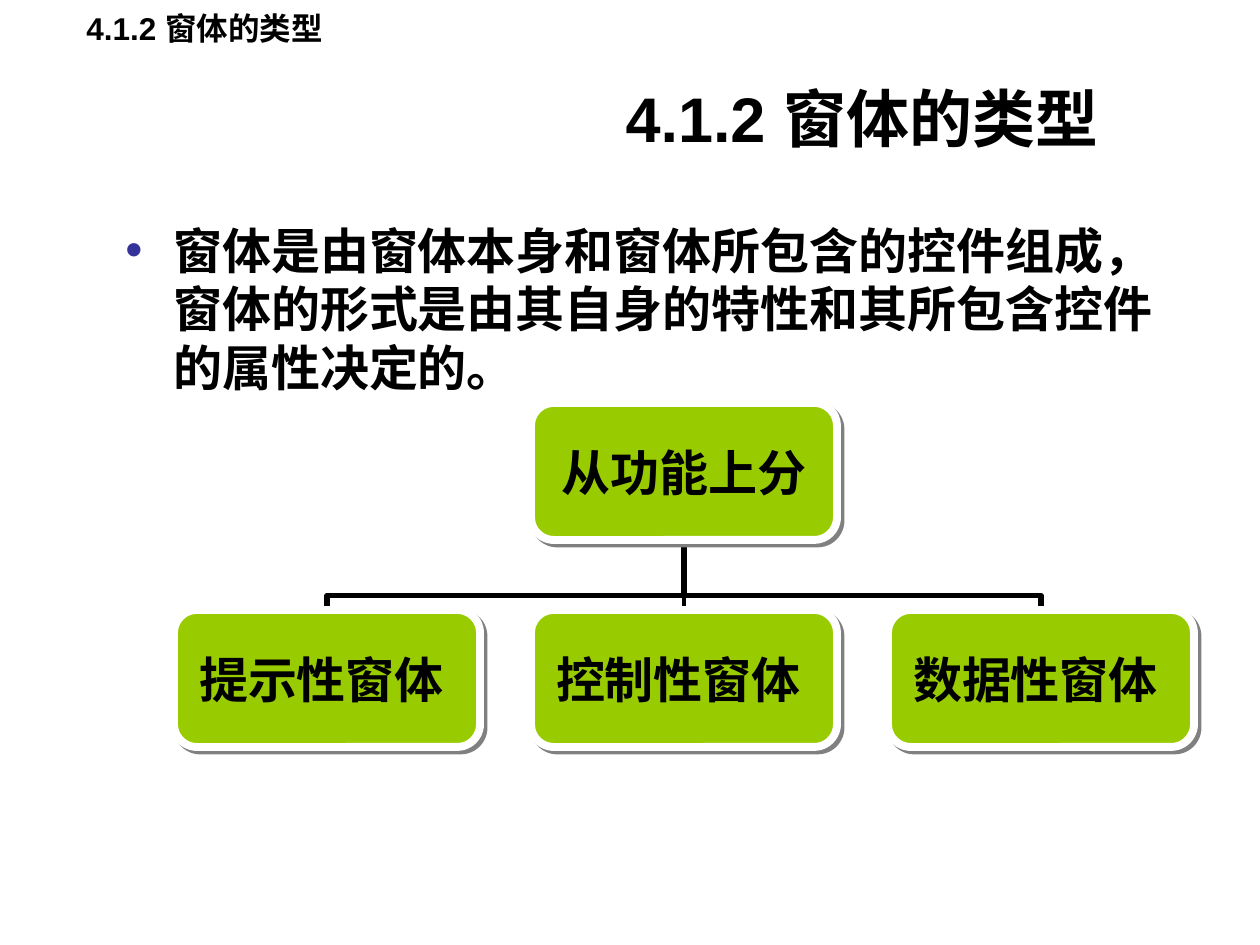
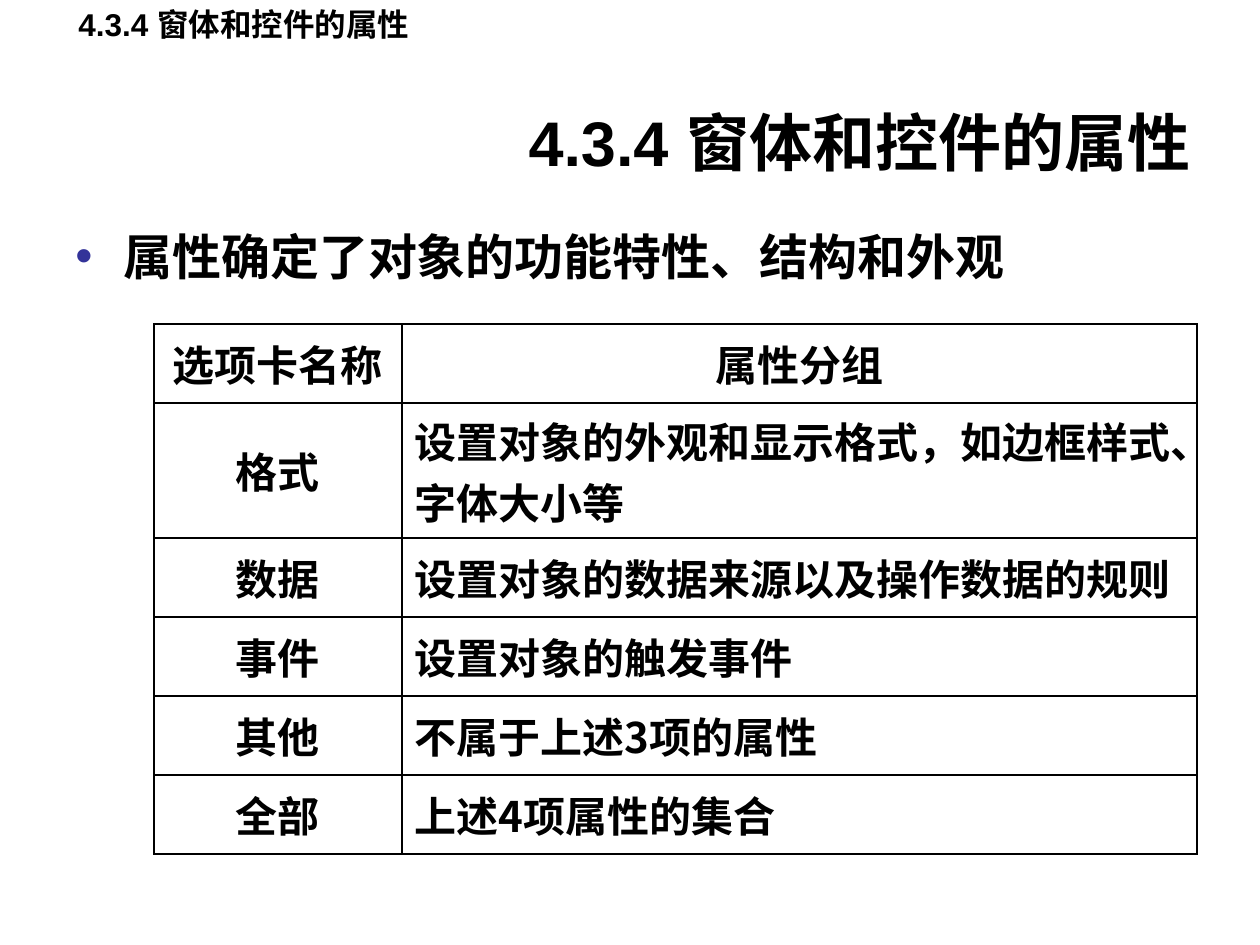
from dataclasses import dataclass

from lxml.etree import SubElement
from pptx import Presentation
from pptx.dml.color import RGBColor
from pptx.enum.shapes import MSO_CONNECTOR, MSO_SHAPE
from pptx.enum.text import MSO_ANCHOR, MSO_AUTO_SIZE, PP_ALIGN
from pptx.oxml.ns import qn
from pptx.util import Emu, Pt


@dataclass(frozen=True)
class Theme:
    ink: str = "000000"
    paper: str = "FFFFFF"
    node: str = "99CC00"
    shadow: str = "808080"
    bullet: str = "333399"
    latin: str = "Arial"
    cjk: str = "Noto Sans CJK SC"
    title_size: int = 36
    body_size: int = 28
    table_size: int = 24
    header_size: int = 18
    line_factor: float = 1.2


THEME = Theme()
EMU_PER_PX = 914400 / 126
SLIDE_SIZE = (1260, 945)

# Content: boxes are left, top, width, height in px
TYPES = {
    "header": ("4.1.2 窗体的类型", (74, 3, 319, 50)),
    "title": ("4.1.2 窗体的类型 ", (326, 38, 799, 158)),
    "body": ("窗体是由窗体本身和窗体所包含的控件组成，窗体的形式是由其自身的特性和其所包含控件的属性决定的。",
             (113, 214, 1081, 208)),
}
ROOT = "从功能上分"
BRANCHES = ["提示性窗体 ", "控制性窗体 ", "数据性窗体 "]

PROPERTIES = {
    "header": ("4.3.4 窗体和控件的属性", (66, -1, 368, 50)),
    "title": ("4.3.4 窗体和控件的属性 ", (343, 62, 874, 158)),
    "body": ("属性确定了对象的功能特性、结构和外观", (63, 220, 1143, 93)),
}
TABS = [
    ("选项卡名称", "属性分组"),
    ("格式", "设置对象的外观和显示格式，如边框样式、字体大小等"),
    ("数据", "设置对象的数据来源以及操作数据的规则"),
    ("事件", "设置对象的触发事件"),
    ("其他", "不属于上述3项的属性"),
    ("全部", "上述4项属性的集合"),
]

# Layout of the tree and the table; the second table row holds two lines
NODE_W, NODE_H = 306, 137
TREE_LEFT, ROOT_TOP, BRANCH_TOP, PITCH = 174, 403, 610, 357
RAIL_POSITION = 20900
TABLE_LEFT, TABLE_TOP, COLUMN_WIDTHS = 154, 324, (248, 795)
ROW_HEIGHTS = (79, 135, 79, 79, 79, 79)


def px(length):
    return Emu(round(length * EMU_PER_PX))


def px_all(lengths):
    return [px(length) for length in lengths]


def write(frame, text, *, size, latin=THEME.latin, align=PP_ALIGN.LEFT,
          anchor=MSO_ANCHOR.TOP, line_factor=THEME.line_factor, wrap=True,
          bullet=False):
    frame.word_wrap = wrap
    frame.vertical_anchor = anchor
    paragraph = frame.paragraphs[0]
    paragraph.alignment = align
    if line_factor:
        paragraph.line_spacing = Pt(size * line_factor)
    if bullet:
        add_bullet(paragraph)
    run = paragraph.add_run()
    run.text = text
    run.font.size = Pt(size)
    run.font.bold = True
    run.font.name = latin
    run.font.color.rgb = RGBColor.from_string(THEME.ink)
    SubElement(run.font._element, qn("a:ea"), typeface=THEME.cjk)


def add_bullet(paragraph):
    paragraph.space_before = Pt(3)
    properties = paragraph._p.get_or_add_pPr()
    properties.set("marL", str(px(48)))
    properties.set("indent", str(-px(48)))
    color = SubElement(properties, qn("a:buClr"))
    SubElement(color, qn("a:srgbClr"), val=THEME.bullet)
    SubElement(properties, qn("a:buFont"), typeface=THEME.latin)
    SubElement(properties, qn("a:buChar"), char="•")


def add_topic_slide(deck, topic):
    """Title, bulleted statement and running header."""
    slide = deck.slides.add_slide(deck.slide_layouts[5])
    text, box = topic["title"]
    title = slide.shapes.title
    title.left, title.top, title.width, title.height = px_all(box)
    title.text_frame.auto_size = MSO_AUTO_SIZE.NONE
    write(title.text_frame, text, size=THEME.title_size, align=PP_ALIGN.RIGHT,
          anchor=MSO_ANCHOR.MIDDLE)

    text, box = topic["body"]
    body = slide.shapes.add_textbox(*px_all(box))
    write(body.text_frame, text, size=THEME.body_size, bullet=True)

    text, box = topic["header"]
    header = slide.shapes.add_textbox(*px_all(box))
    header.text_frame.margin_right = 0
    write(header.text_frame, text, size=THEME.header_size)
    return slide


def add_line(slide, kind, ends, weight):
    line = slide.shapes.add_connector(kind, *px_all(ends))
    line.line.color.rgb = RGBColor.from_string(THEME.ink)
    line.line.width = Pt(weight)
    SubElement(line._element.spPr, qn("a:effectLst"))
    return line


def add_elbow(slide, branch_x, root_x):
    """Elbow from a branch up to the root, turned so it leaves vertically."""
    drop = BRANCH_TOP - ROOT_TOP - NODE_H
    span = abs(branch_x - root_x)
    left = (branch_x + root_x - drop) / 2
    top = BRANCH_TOP - (drop + span) / 2
    right = left + drop
    from_right = branch_x > root_x
    start, end = (right, left) if from_right else (left, right)
    elbow = add_line(slide, MSO_CONNECTOR.ELBOW, (start, top, end, top + span), 3)
    properties = elbow._element.spPr
    properties.find(qn("a:xfrm")).set("rot", str((90 if from_right else 270) * 60000))
    geometry = properties.find(qn("a:prstGeom"))
    adjustments = geometry.find(qn("a:avLst"))
    if adjustments is None:
        adjustments = SubElement(geometry, qn("a:avLst"))
    SubElement(adjustments, qn("a:gd"), name="adj1", fmla=f"val {RAIL_POSITION}")


def add_node(slide, text, left, top):
    node = slide.shapes.add_shape(MSO_SHAPE.ROUNDED_RECTANGLE,
                                  *px_all((left, top, NODE_W, NODE_H)))
    node.shadow.inherit = False
    node.fill.solid()
    node.fill.fore_color.rgb = RGBColor.from_string(THEME.node)
    node.line.color.rgb = RGBColor.from_string(THEME.paper)
    node.line.width = Pt(4.5)
    effects = node._element.spPr.find(qn("a:effectLst"))
    shadow = SubElement(effects, qn("a:outerShdw"), dist=str(Pt(2.8)),
                        dir=str(45 * 60000), algn="ctr", rotWithShape="0")
    SubElement(shadow, qn("a:srgbClr"), val=THEME.shadow)
    frame = node.text_frame
    frame.margin_left = frame.margin_right = frame.margin_top = frame.margin_bottom = 0
    write(frame, text, size=THEME.body_size, align=PP_ALIGN.CENTER,
          anchor=MSO_ANCHOR.MIDDLE, wrap=False)


def add_tree(slide):
    branch_lefts = [TREE_LEFT + PITCH * i for i in range(len(BRANCHES))]
    root_left = branch_lefts[len(BRANCHES) // 2]
    root_x = root_left + NODE_W / 2
    # Connectors lie behind the nodes
    for left in reversed(branch_lefts):
        if left == root_left:
            add_line(slide, MSO_CONNECTOR.STRAIGHT,
                     (root_x, BRANCH_TOP, root_x, ROOT_TOP + NODE_H), 2.25)
        else:
            add_elbow(slide, left + NODE_W / 2, root_x)
    add_node(slide, ROOT, root_left, ROOT_TOP)
    for text, left in zip(BRANCHES, branch_lefts):
        add_node(slide, text, left, BRANCH_TOP)


def add_borders(cell):
    properties = cell._tc.get_or_add_tcPr()
    for side in ("lnL", "lnR", "lnT", "lnB"):
        border = SubElement(properties, qn(f"a:{side}"), w=str(Pt(1)))
        fill = SubElement(border, qn("a:solidFill"))
        SubElement(fill, qn("a:srgbClr"), val=THEME.ink)


def add_tab_table(slide):
    table = slide.shapes.add_table(
        len(TABS), len(COLUMN_WIDTHS),
        *px_all((TABLE_LEFT, TABLE_TOP, sum(COLUMN_WIDTHS), sum(ROW_HEIGHTS)))).table
    table.first_row = table.horz_banding = False
    for column, width in zip(table.columns, COLUMN_WIDTHS):
        column.width = px(width)
    for row, height in zip(table.rows, ROW_HEIGHTS):
        row.height = px(height)
    for r, tab in enumerate(TABS):
        for c, text in enumerate(tab):
            cell = table.cell(r, c)
            add_borders(cell)
            cell.fill.background()
            cell.vertical_anchor = MSO_ANCHOR.MIDDLE
            centred = r == 0 or c == 0
            write(cell.text_frame, text, size=THEME.table_size, latin=THEME.cjk,
                  align=PP_ALIGN.CENTER if centred else PP_ALIGN.LEFT,
                  anchor=MSO_ANCHOR.MIDDLE, line_factor=None)


def main():
    deck = Presentation()
    deck.slide_width, deck.slide_height = px_all(SLIDE_SIZE)
    add_tree(add_topic_slide(deck, TYPES))
    add_tab_table(add_topic_slide(deck, PROPERTIES))
    deck.save("out.pptx")


if __name__ == "__main__":
    main()
